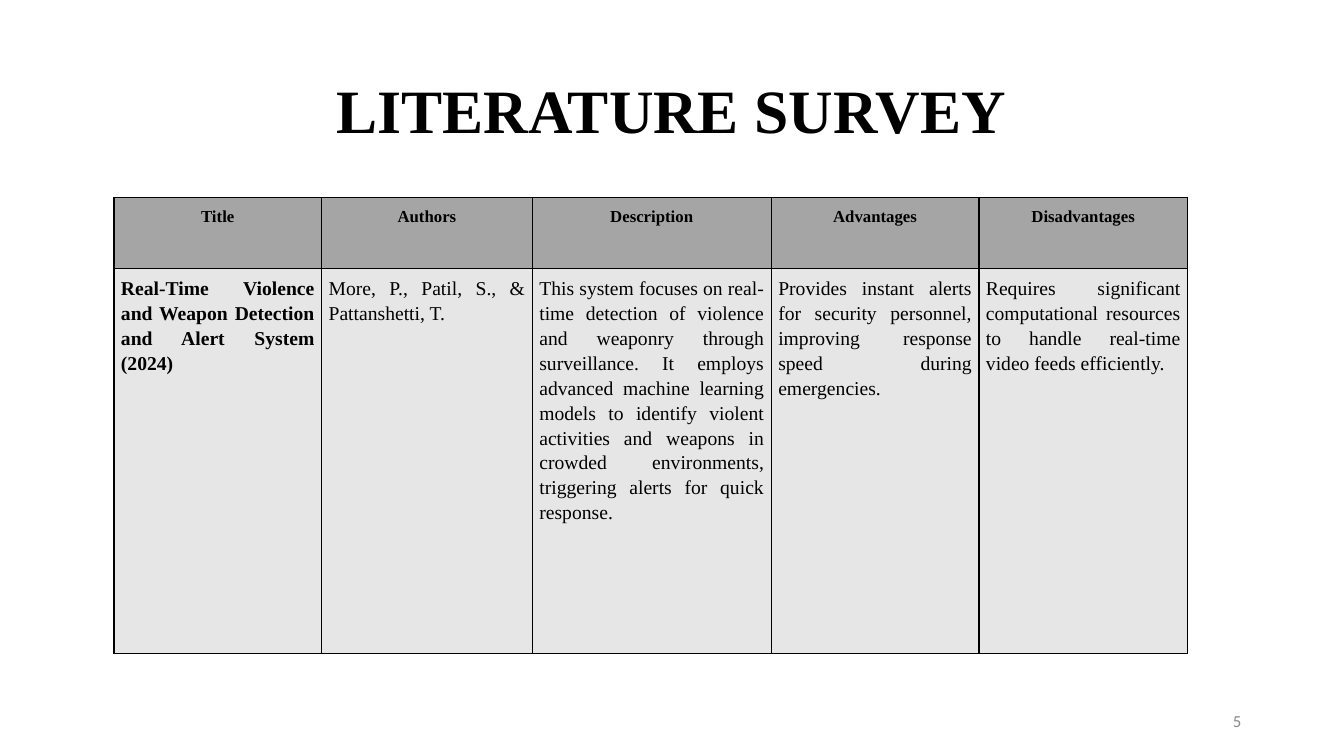
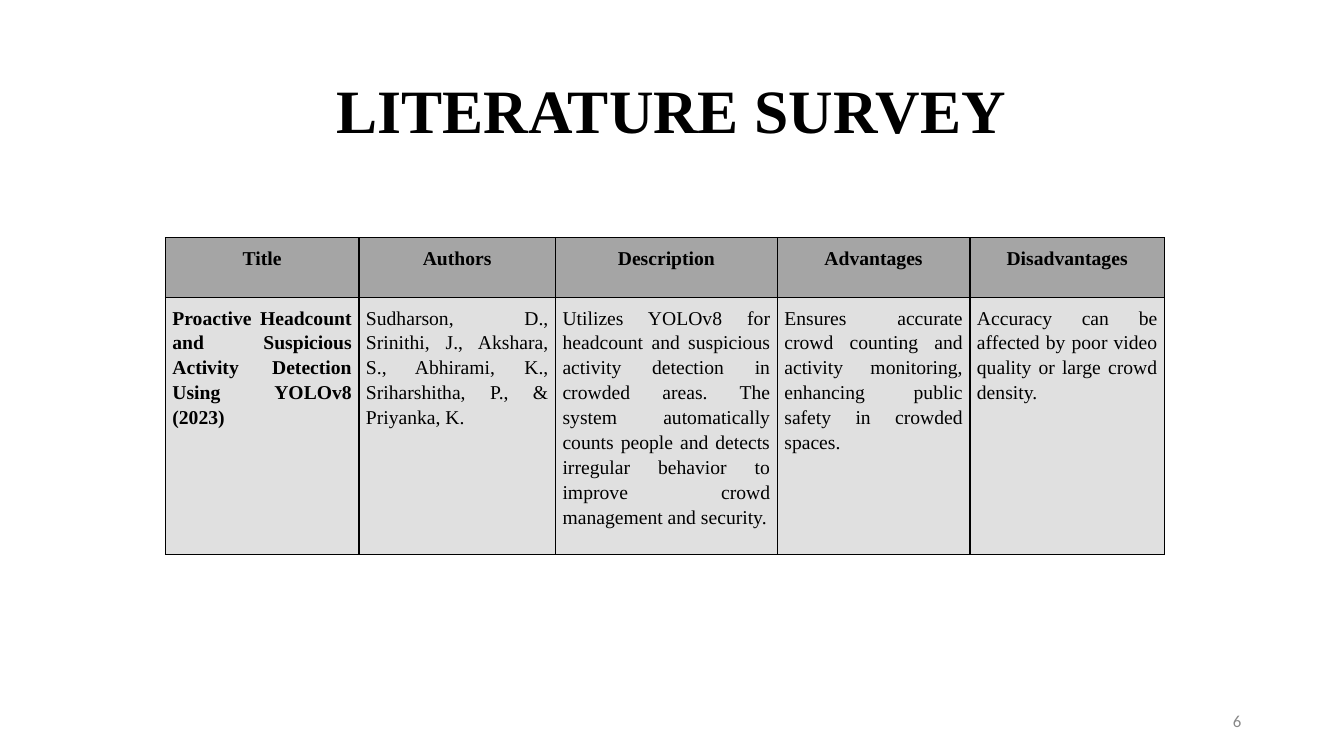
import pptx
import pptx.dml.color
import pptx.enum.lang
import pptx.enum.text
import pptx.oxml
import pptx.oxml.ns
import pptx.util

Inches = pptx.util.Inches
Pt = pptx.util.Pt
ALIGN = pptx.enum.text.PP_ALIGN
MIDDLE = pptx.enum.text.MSO_ANCHOR.MIDDLE
ENGLISH = pptx.enum.lang.MSO_LANGUAGE_ID.ENGLISH_US

SERIF = "Times New Roman"
BLACK = "000000"
HEADER_FILL = "A5A5A5"
TITLE_BOX = (0.91, 0.4, 11.5, 1.45)
NUMBER_BOX = (9.41, 6.95, 3, 0.4)
TITLE_FORMAT = {"size": Pt(44), "name": SERIF, "bold": True}
NUMBER_FORMAT = {"size": Pt(12), "name": "Calibri"}
HEADINGS = ["Title", "Authors", "Description", "Advantages", "Disadvantages"]

SURVEYS = [
    {
        "number": 5,
        "corner": (1.13, 1.96),
        "column_widths": [2.06, 2.09, 2.37, 2.06, 2.07],
        "row_heights": [0.7, 3.82],
        "header_size": 12,
        "entry_fill": "E7E6E6",
        "entry": [
            "Real-Time Violence and Weapon Detection and Alert System (2024)",
            "More, P., Patil, S., & Pattanshetti, T.",
            "This system focuses on real-time detection of violence and weaponry through "
            "surveillance. It employs advanced machine learning models to identify violent "
            "activities and weapons in crowded environments, triggering alerts for quick response.",
            "Provides instant alerts for security personnel, improving response speed during "
            "emergencies.",
            "Requires significant computational resources to handle real-time video feeds "
            "efficiently.",
        ],
    },
    {
        "number": 6,
        "corner": (1.64, 2.36),
        "column_widths": [1.92, 1.95, 2.2, 1.91, 1.93],
        "row_heights": [0.59, 2.5],
        "header_size": 14,
        "entry_fill": "E0E0E0",
        "entry": [
            "Proactive Headcount and Suspicious Activity Detection Using YOLOv8 (2023)",
            "Sudharson, D., Srinithi, J., Akshara, S., Abhirami, K., Sriharshitha, P., & Priyanka, K.",
            "Utilizes YOLOv8 for headcount and suspicious activity detection in crowded areas. "
            "The system automatically counts people and detects irregular behavior to improve "
            "crowd management and security.",
            "Ensures accurate crowd counting and activity monitoring, enhancing public safety in "
            "crowded spaces.",
            "Accuracy can be affected by poor video quality or large crowd density.",
        ],
    },
]


def rgb(color):
    """Turn a hex string into a colour."""
    return pptx.dml.color.RGBColor.from_string(color)


def set_attributes(target, values):
    """Set each named attribute of the target."""
    for name, value in values.items():
        setattr(target, name, value)


def write(frame, text, align, spacing, font, color=BLACK):
    """Write one formatted paragraph into a text frame."""
    paragraph = frame.paragraphs[0]
    set_attributes(paragraph, {"alignment": align, "line_spacing": spacing})
    run = paragraph.add_run()
    run.text = text
    set_attributes(run.font, {"language_id": ENGLISH, **font})
    run.font.color.rgb = rgb(color)


def add_text(slide, box, text, align, spacing, font, color=BLACK):
    """Add a vertically centred text box."""
    frame = slide.shapes.add_textbox(*map(Inches, box)).text_frame
    set_attributes(frame, {"word_wrap": True, "vertical_anchor": MIDDLE})
    write(frame, text, align, spacing, font, color)


def add_borders(cell):
    """Draw a thin black line on every side of a cell, ahead of its fill."""
    properties = cell._tc.get_or_add_tcPr()
    for index, side in enumerate(("lnL", "lnR", "lnT", "lnB")):
        line = pptx.oxml.parse_xml(
            f'<a:{side} {pptx.oxml.ns.nsdecls("a")} w="{Pt(1)}"><a:solidFill>'
            f'<a:srgbClr val="{BLACK}"/></a:solidFill></a:{side}>'
        )
        properties.insert(index, line)


def fill_cell(cell, text, fill, align, size, bold):
    """Fill, border and write one table cell."""
    cell.fill.solid()
    cell.fill.fore_color.rgb = rgb(fill)
    sides = ("left", "right", "top", "bottom")
    set_attributes(cell, {f"margin_{side}": Inches(0.07) for side in sides})
    add_borders(cell)
    write(cell.text_frame, text, align, 1.15, {"size": Pt(size), "name": SERIF, "bold": bold})


def add_survey_table(slide, survey):
    """Add the table of one surveyed paper at its corner."""
    widths, heights = survey["column_widths"], survey["row_heights"]
    box = (*survey["corner"], sum(widths), sum(heights))
    table = slide.shapes.add_table(len(heights), len(widths), *map(Inches, box)).table
    for row, height in zip(table.rows, heights):
        row.height = Inches(height)
    for index, (heading, detail) in enumerate(zip(HEADINGS, survey["entry"])):
        table.columns[index].width = Inches(widths[index])
        fill_cell(table.cell(0, index), heading, HEADER_FILL, ALIGN.CENTER,
                  survey["header_size"], True)
        fill_cell(table.cell(1, index), detail, survey["entry_fill"], ALIGN.JUSTIFY,
                  14, index == 0)


def add_survey_slide(presentation, survey):
    """Add a titled, numbered slide with its survey table."""
    slide = presentation.slides.add_slide(presentation.slide_layouts[6])
    add_text(slide, TITLE_BOX, "LITERATURE SURVEY", ALIGN.CENTER, 0.9, TITLE_FORMAT)
    add_text(slide, NUMBER_BOX, str(survey["number"]), ALIGN.RIGHT, 1.0, NUMBER_FORMAT, "888888")
    add_survey_table(slide, survey)


def main():
    """Build and save the presentation."""
    presentation = pptx.Presentation()
    set_attributes(presentation, {"slide_width": Inches(13.33), "slide_height": Inches(7.5)})
    for survey in SURVEYS:
        add_survey_slide(presentation, survey)
    presentation.save("out.pptx")


if __name__ == "__main__":
    main()
